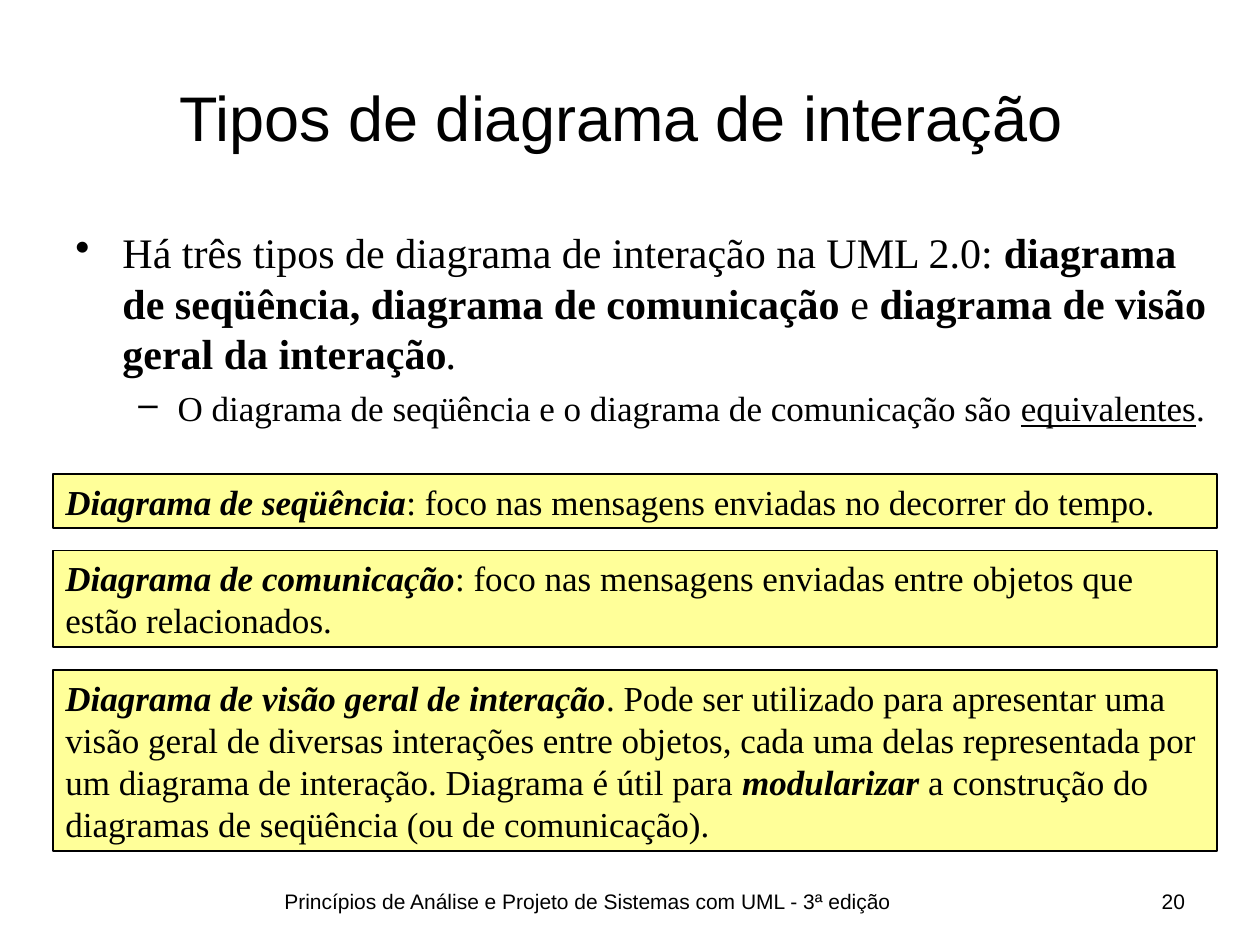
import pptx
import pptx.dml.color
import pptx.enum.shapes
import pptx.enum.text
import pptx.oxml.ns
import pptx.util
from lxml import etree

Cm = pptx.util.Cm
Pt = pptx.util.Pt
ALIGN = pptx.enum.text.PP_ALIGN
ANCHOR = pptx.enum.text.MSO_ANCHOR

COLORS = {"text": "000000", "box": "FFFF99", "line": "000000"}
SANS, SERIF = "Arial", "Times New Roman"
BOX_LEFT, BOX_TOP, BOX_WIDTH = 1.07, 9.55, 23.47
BOX_GAP, BOX_PADDING, BOX_LINE = 0.45, 0.25, 0.85

# Runs are (text, style) pairs; a style holds any of b, i and u.
BULLETS = [
    [("Há três tipos de diagrama de interação na UML 2.0: ", ""),
     ("diagrama de seqüência, diagrama de comunicação ", "b"),
     ("e ", ""),
     ("diagrama de visão geral da interação", "b"),
     (".", "i")],
    [("O diagrama de seqüência e o diagrama de comunicação são ", ""),
     ("equivalentes", "u"),
     (".", "")],
]
# Number of text lines, runs
DEFINITIONS = [
    (1, [("Diagrama de seqüência", "bi"),
         (": foco nas mensagens enviadas no decorrer do tempo.", "")]),
    (2, [("Diagrama de comunicação", "bi"),
         (": foco nas mensagens enviadas entre objetos que estão relacionados.", "")]),
    (4, [("Diagrama de visão geral de interação", "bi"),
         (". Pode ser utilizado para apresentar uma visão geral de diversas "
          "interações entre objetos, cada uma delas representada por um diagrama "
          "de interação. Diagrama é útil para ", ""),
         ("modularizar", "bi"),
         (" a construção do diagramas de seqüência (ou de comunicação).", "")]),
]


def rgb(name):
    return pptx.dml.color.RGBColor.from_string(COLORS[name])


def fill_paragraph(p, runs, size, font=SERIF, align=ALIGN.LEFT):
    p.alignment = align
    for text, style in runs:
        r = p.add_run()
        r.text = text
        r.font.name = font
        r.font.size = Pt(size)
        r.font.color.rgb = rgb("text")
        r.font.bold = "b" in style
        r.font.italic = "i" in style
        r.font.underline = "u" in style


def set_bullet(p, char, margin, hanging):
    pPr = p._p.get_or_add_pPr()
    pPr.set("marL", str(Cm(margin)))
    pPr.set("indent", str(-Cm(hanging)))
    bullet = etree.SubElement(pPr, pptx.oxml.ns.qn("a:buChar"))
    bullet.set("char", char)


def add_text_box(slide, left, top, width, height):
    sp = slide.shapes.add_textbox(Cm(left), Cm(top), Cm(width), Cm(height))
    sp.text_frame.word_wrap = True
    return sp.text_frame


def add_footer(slide, text, left, width, align):
    tf = add_text_box(slide, left, 17.78, width, 0.89)
    fill_paragraph(tf.paragraphs[0], [(text, "")], 12, SANS, align)


def format_title(slide, text):
    sp = slide.shapes.title
    sp.left, sp.top, sp.width, sp.height = Cm(1.27), Cm(0.76), Cm(22.86), Cm(3.18)
    tf = sp.text_frame
    tf.vertical_anchor = ANCHOR.MIDDLE
    fill_paragraph(tf.paragraphs[0], [(text, "")], 36, SANS, ALIGN.CENTER)


def add_bullets(slide):
    tf = add_text_box(slide, 1.27, 4.45, 23.7, 4.45)
    levels = [("•", 24, 6, 0.95, 0.95), ("–", 20, 5, 2.06, 0.79)]
    for level, (runs, layout) in enumerate(zip(BULLETS, levels)):
        char, size, before, margin, hanging = layout
        p = tf.add_paragraph() if level else tf.paragraphs[0]
        fill_paragraph(p, runs, size)
        p.level = level
        p.space_before = Pt(before)
        p.line_spacing = Pt(size * 1.2)
        set_bullet(p, char, margin, hanging)


def add_definition(slide, runs, top, height):
    sp = slide.shapes.add_shape(
        pptx.enum.shapes.MSO_SHAPE.RECTANGLE,
        Cm(BOX_LEFT), Cm(top), Cm(BOX_WIDTH), Cm(height))
    sp.shadow.inherit = False
    sp.fill.solid()
    sp.fill.fore_color.rgb = rgb("box")
    sp.line.color.rgb = rgb("line")
    sp.line.width = Pt(1)
    tf = sp.text_frame
    tf.word_wrap = True
    tf.vertical_anchor = ANCHOR.MIDDLE
    tf.auto_size = pptx.enum.text.MSO_AUTO_SIZE.SHAPE_TO_FIT_TEXT
    p = tf.paragraphs[0]
    fill_paragraph(p, runs, 20)
    p.line_spacing = Pt(24)


def main():
    prs = pptx.Presentation()
    prs.slide_width, prs.slide_height = Cm(25.4), Cm(19.05)
    slide = prs.slides.add_slide(prs.slide_layouts[5])

    format_title(slide, "Tipos de diagrama de interação ")
    add_bullets(slide)
    top = BOX_TOP
    for lines, runs in DEFINITIONS:
        height = BOX_PADDING + lines * BOX_LINE
        add_definition(slide, runs, top, height)
        top += height + BOX_GAP
    add_footer(slide, "Princípios de Análise e Projeto de Sistemas com UML - 3ª edição",
               3.38, 16.94, ALIGN.CENTER)
    add_footer(slide, "20", 20.96, 3.18, ALIGN.RIGHT)

    prs.save("out.pptx")


if __name__ == "__main__":
    main()
